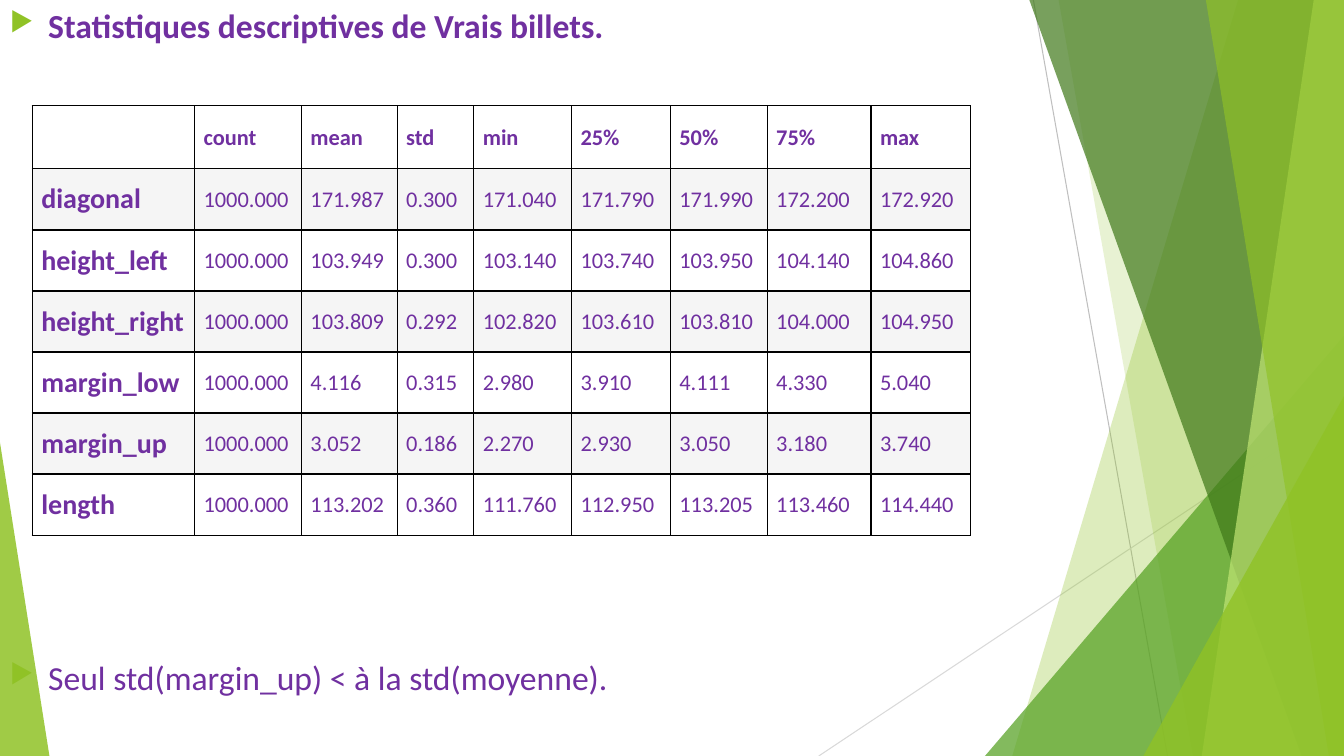
from lxml.etree import SubElement as Sub
from pptx import Presentation
from pptx.dml.color import RGBColor as RGB
from pptx.enum.shapes import MSO_CONNECTOR as Link, MSO_SHAPE as Kind
from pptx.enum.text import MSO_ANCHOR as Anchor
from pptx.oxml.ns import qn
from pptx.util import Inches, Pt

WHITE = RGB(0xFF, 0xFF, 0xFF)
BAND = RGB(0xF5, 0xF5, 0xF5)
BLACK = RGB(0, 0, 0)
PURPLE = RGB(0x70, 0x30, 0xA0)
LIME = RGB(0x90, 0xC2, 0x26)
GREEN = RGB(0x54, 0xA0, 0x21)
DARK = RGB(0x3F, 0x78, 0x19)
PALE = RGB(0xC0, 0xE4, 0x74)
GREY = RGB(0xBF, 0xBF, 0xBF)
SILVER = RGB(0xD9, 0xD9, 0xD9)

RAYS = [(76.89, 0, 86.87, 100, GREY), (100, 53.73, 60.92, 100, SILVER)]
BACK = [(92.12, 75.32, LIME, 30), (78.77, 88.75, LIME, 20)]
FRONT = [(76.59, 96.85, DARK, 70), (97.75, 89.42, PALE, 70),
         (89.72, 98.87, LIME, 65)]

COLS = [1.61, 1.06, 0.95, 0.76, 0.97, 0.98, 0.96, 1.03, 0.99]
ROWS = [63] + [61] * 6
STATS = [
    ["", "count", "mean", "std", "min", "25%", "50%", "75%", "max"],
    ["diagonal", "1000.000", "171.987", "0.300", "171.040", "171.790",
     "171.990", "172.200", "172.920"],
    ["height_left", "1000.000", "103.949", "0.300", "103.140", "103.740",
     "103.950", "104.140", "104.860"],
    ["height_right", "1000.000", "103.809", "0.292", "102.820", "103.610",
     "103.810", "104.000", "104.950"],
    ["margin_low", "1000.000", "4.116", "0.315", "2.980", "3.910",
     "4.111", "4.330", "5.040"],
    ["margin_up", "1000.000", "3.052", "0.186", "2.270", "2.930",
     "3.050", "3.180", "3.740"],
    ["length", "1000.000", "113.202", "0.360", "111.760", "112.950",
     "113.205", "113.460", "114.440"],
]


def part(box, x, y, w, h):
    left, top, wide, high = box
    return (int(left + wide * x / 100), int(top + high * y / 100),
            int(wide * w / 100), int(high * h / 100))


def spot(box, x, y):
    return part(box, x, y, 0, 0)[:2]


def put(frame, text, size=16, bold=False, bullet=False):
    para = frame.paragraphs[0]
    if bullet:
        props = para._p.get_or_add_pPr()
        props.set("marL", str(Inches(0.38)))
        props.set("indent", str(-Inches(0.38)))
        tint = Sub(props, qn("a:buClr"))
        Sub(tint, qn("a:srgbClr"), val=str(LIME))
        Sub(props, qn("a:buSzPct"), val="80000")
        Sub(props, qn("a:buChar"), char="▶")
    para.text = text
    font = para.font
    font.name, font.size, font.bold = "Calibri", Pt(size), bold
    font.color.rgb = PURPLE


def paint(shape, color, alpha):
    shape.shadow.inherit = False
    shape.line.fill.background()
    shape.fill.solid()
    shape.fill.fore_color.rgb = color
    tint = shape._element.spPr.find(qn("a:solidFill"))[0]
    Sub(tint, qn("a:alpha"), val=str(alpha * 1000))


def ray(slide, box, x1, y1, x2, y2, color):
    line = slide.shapes.add_connector(
        Link.STRAIGHT, *spot(box, x1, y1), *spot(box, x2, y2))
    line.line.color.rgb = color
    line.line.width = Pt(0.75)
    Sub(line._element.spPr, qn("a:effectLst"))


def blade(slide, box, head, foot, color, alpha):
    form = slide.shapes.build_freeform(*spot(box, head, 0))
    form.add_line_segments(
        [spot(box, 100, 0), spot(box, 100, 100), spot(box, foot, 100)])
    paint(form.convert_to_shape(), color, alpha)


def wedge(slide, box, x, y, w, peak, color, alpha):
    shape = slide.shapes.add_shape(
        Kind.ISOSCELES_TRIANGLE, *part(box, x, y, w, 100 - y))
    shape.adjustments[0] = peak
    paint(shape, color, alpha)


def decor(slide, box):
    for item in RAYS:
        ray(slide, box, *item)
    for item in BACK:
        blade(slide, box, *item)
    wedge(slide, box, 73.29, 44.4, 26.71, 1, GREEN, 72)
    for item in FRONT:
        blade(slide, box, *item)
    wedge(slide, box, 85.07, 52.4, 14.93, 1, LIME, 80)
    wedge(slide, box, 0, 58.53, 3.68, 0, LIME, 85)


def point(slide, box, text, bold):
    frame = slide.shapes.add_textbox(*box).text_frame
    frame.word_wrap = True
    put(frame, text, size=24, bold=bold, bullet=True)


def edge(cell):
    props = cell._tc.get_or_add_tcPr()
    for i, side in enumerate(("lnL", "lnR", "lnT", "lnB")):
        line = props.makeelement(qn("a:" + side), {"w": str(Pt(1))})
        fill = Sub(line, qn("a:solidFill"))
        Sub(fill, qn("a:srgbClr"), val=str(BLACK))
        props.insert(i, line)


def stats(slide, box):
    grid = slide.shapes.add_table(len(ROWS), len(COLS), *box).table
    grid.first_row = grid.horz_banding = False
    for col, share in zip(grid.columns, COLS):
        col.width = int(box[2] * share / sum(COLS))
    for row, share in zip(grid.rows, ROWS):
        row.height = int(box[3] * share / sum(ROWS))
    for r, line in enumerate(STATS):
        for c, text in enumerate(line):
            cell = grid.cell(r, c)
            cell.fill.solid()
            cell.fill.fore_color.rgb = BAND if r % 2 else WHITE
            cell.vertical_anchor = Anchor.MIDDLE
            cell.margin_left = cell.margin_right = Inches(0.09)
            cell.margin_top = cell.margin_bottom = Inches(0.04)
            put(cell.text_frame, text, size=16 if c else 20,
                bold=r == 0 or c == 0)
            edge(cell)


def main():
    deck = Presentation()
    deck.slide_width, deck.slide_height = Inches(13.33), Inches(7.5)
    slide = deck.slides.add_slide(deck.slide_layouts[6])
    page = (0, 0, deck.slide_width, deck.slide_height)
    decor(slide, page)
    point(slide, part(page, 0, 0, 76, 7),
          "Statistiques descriptives de Vrais billets.", True)
    point(slide, part(page, 0, 86.3, 76, 7),
          "Seul std(margin_up) < à la std(moyenne).", False)
    stats(slide, part(page, 2.4, 14, 69.84, 56.8))
    deck.save("out.pptx")


if __name__ == "__main__":
    main()
